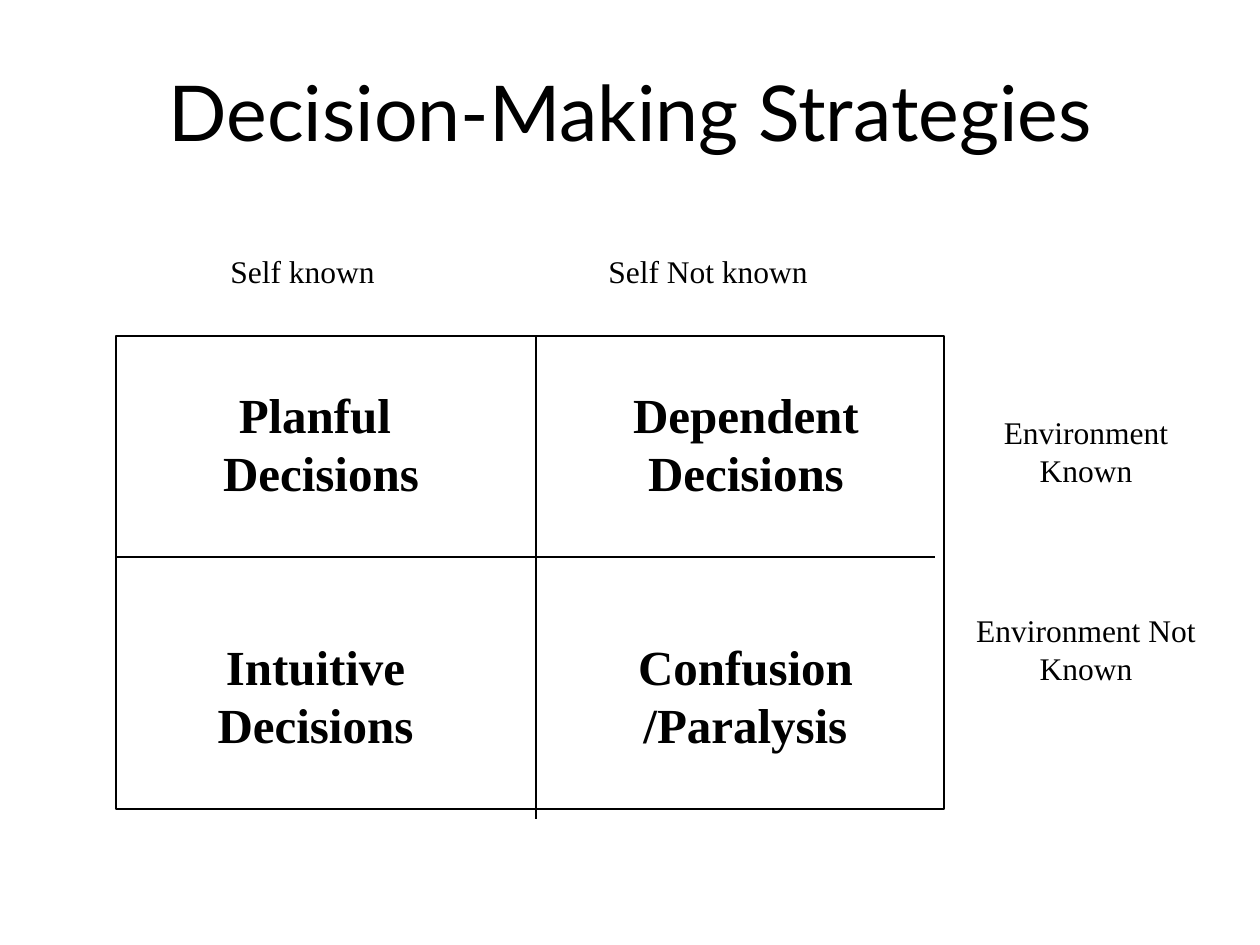
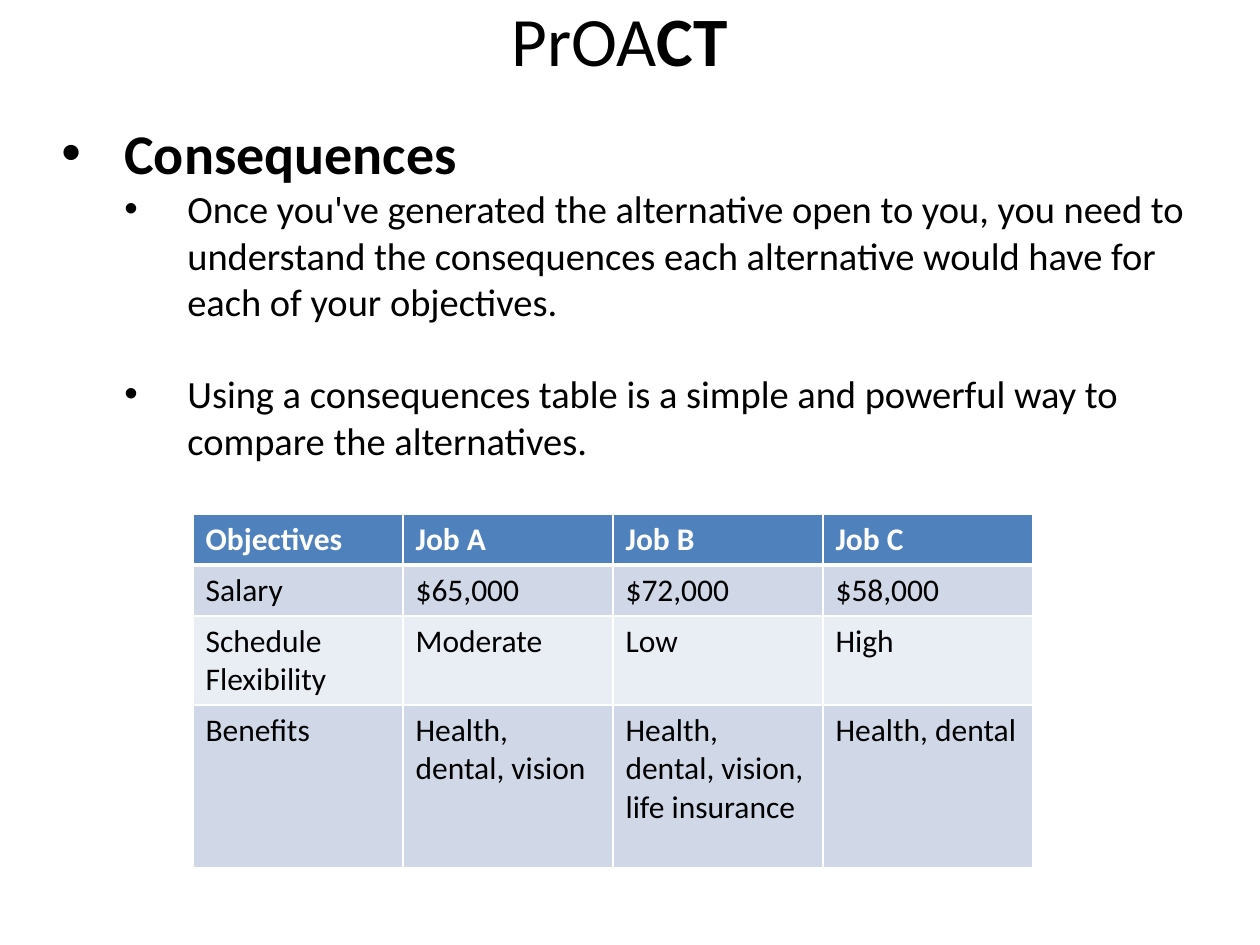
from lxml import etree
from pptx import Presentation
from pptx.dml.color import RGBColor
from pptx.enum.shapes import MSO_CONNECTOR as CONN, MSO_SHAPE as SHAPE
from pptx.enum.text import MSO_ANCHOR as ANCHOR, MSO_AUTO_SIZE as AUTO, PP_ALIGN as ALIGN
from pptx.oxml.ns import qn
from pptx.util import Emu, Pt

PX_PER_INCH = 126
COLORS = {"ink": "000000", "paper": "FFFFFF", "header": "4F81BD",
          "band_dark": "D0D8E8", "band_light": "E9EDF4"}
SERIF, SANS, DISPLAY = "Times New Roman", "Calibri", "Lato"


def px(n):
    return Emu(round(n * 914400 / PX_PER_INCH))


def rgb(name):
    return RGBColor.from_string(COLORS[name])


def add_run(p, text, size, font, bold=False, color="ink"):
    r = p.add_run()
    r.text = text
    r.font.size, r.font.name, r.font.bold = Pt(size), font, bold
    r.font.color.rgb = rgb(color)


def add_box(s, x, y, w, h):
    tf = s.shapes.add_textbox(px(x), px(y), px(w), px(h)).text_frame
    tf.word_wrap = True
    return tf


def add_paragraphs(tf, texts, size, font, align, bold=False, gap=0):
    """Fill a text frame, with gap points between its paragraphs."""
    for i, text in enumerate(texts):
        p = tf.add_paragraph() if i else tf.paragraphs[0]
        p.alignment = align
        if i:
            p.space_before = Pt(gap)
        add_run(p, text, size, font, bold)


def add_titled_slide(prs, box, runs, size, font):
    """Add a title-only slide; runs are (text, bold) pairs."""
    s = prs.slides.add_slide(prs.slide_layouts[5])
    title = s.shapes.title
    title.left, title.top, title.width, title.height = map(px, box)
    tf = title.text_frame
    tf.auto_size, tf.vertical_anchor = AUTO.NONE, ANCHOR.MIDDLE
    p = tf.paragraphs[0]
    p.alignment = ALIGN.CENTER
    for text, bold in runs:
        add_run(p, text, size, font, bold)
    return s


def add_rule(s, x1, y1, x2, y2):
    line = s.shapes.add_connector(CONN.STRAIGHT, px(x1), px(y1), px(x2), px(y2))
    line.line.color.rgb, line.line.width = rgb("ink"), Pt(1)
    etree.SubElement(line._element.spPr, qn("a:effectLst"))


def add_matrix(s, x, y, w, h):
    """Draw the frame, its two dividers and the four strategies."""
    frame = s.shapes.add_shape(SHAPE.RECTANGLE, px(x), px(y), px(w), px(h))
    frame.shadow.inherit = False
    frame.fill.background()
    frame.line.color.rgb, frame.line.width = rgb("ink"), Pt(1)
    add_rule(s, x + 420, y, x + 420, y + h + 10)
    add_rule(s, x, y + 221, x + w - 9, y + 221)

    strategies = [(94, 42, 222, ["Planful ", "Decisions"]),
                  (441, 42, 378, ["Dependent Decisions"]),
                  (42, 294, 315, ["Intuitive Decisions"]),
                  (472, 294, 315, ["Confusion /Paralysis"])]
    for dx, dy, width, texts in strategies:
        tf = add_box(s, x + dx, y + dy, width, 130)
        add_paragraphs(tf, texts, 28, SERIF, ALIGN.CENTER, bold=True)


def add_axis_labels(s, x, y, w):
    """Label the columns above, and the rows right of, the matrix at x, y."""
    for dx, text in ((102, "Self known"), (480, "Self Not known")):
        add_paragraphs(add_box(s, x + dx, y - 90, 290, 50), [text], 18, SERIF, ALIGN.LEFT)
    tf = add_box(s, x + w + 11, y + 71, 262, 299)
    add_paragraphs(tf, ["Environment Known", "Environment Not Known"],
                   18, SERIF, ALIGN.CENTER, gap=70)


def build_strategies(prs):
    s = add_titled_slide(prs, (95, 53, 1071, 116),
                         [("Decision-Making Strategies", False)], 44, DISPLAY)
    x, y, w, h = 116, 336, 828, 473
    add_matrix(s, x, y, w, h)
    add_axis_labels(s, x, y, w)


def add_bullet(p, level):
    p.level = level
    pPr = p._p.get_or_add_pPr()
    pPr.set("marL", str(px(63 * (level + 1))))
    pPr.set("indent", str(-px(63)))
    etree.SubElement(pPr, qn("a:buFont"), typeface="Arial")
    etree.SubElement(pPr, qn("a:buChar"), char="•")


def add_consequences(s, x, y, w, h):
    tf = add_box(s, x, y, w, h)
    points = [
        (0, 32, 0, "Consequences"),
        (1, 22, 0, "Once you've generated the alternative open to you, you need to understand "
                   "the consequences each alternative would have for each of your objectives."),
        (1, 22, 26.5, "Using a consequences table is a simple and powerful way to "
                      "compare the alternatives."),
    ]
    for i, (level, size, gap, text) in enumerate(points):
        p = tf.add_paragraph() if i else tf.paragraphs[0]
        add_bullet(p, level)
        if gap:
            p.space_before = Pt(gap)
        add_run(p, text, size, SANS, bold=level == 0)


def set_borders(cell, top, bottom):
    tcPr = cell._tc.get_or_add_tcPr()
    for side, width in (("L", 1), ("R", 1), ("T", top), ("B", bottom)):
        ln = etree.SubElement(tcPr, qn("a:ln" + side), w=str(Pt(width)))
        fill = etree.SubElement(ln, qn("a:solidFill"))
        etree.SubElement(fill, qn("a:srgbClr"), val=COLORS["paper"])


def add_job_table(s, x, y, col_w, row_heights):
    rows = [["Objectives", "Job A", "Job B", "Job C"],
            ["Salary", "$65,000", "$72,000", "$58,000"],
            ["Schedule Flexibility", "Moderate", "Low", "High"],
            ["Benefits", "Health, dental, vision",
             "Health, dental, vision, life insurance", "Health, dental"]]
    fills = ["header", "band_dark", "band_light", "band_dark"]
    n = len(rows[0])
    table = s.shapes.add_table(len(rows), n, px(x), px(y),
                               px(col_w * n), px(sum(row_heights))).table
    for col in table.columns:
        col.width = px(col_w)
    for i, texts in enumerate(rows):
        table.rows[i].height = px(row_heights[i])
        head = i == 0
        for j, text in enumerate(texts):
            cell = table.cell(i, j)
            set_borders(cell, top=3 if i == 1 else 1, bottom=3 if head else 1)
            cell.fill.solid()
            cell.fill.fore_color.rgb = rgb(fills[i])
            add_run(cell.text_frame.paragraphs[0], text, 18, SANS,
                    bold=head, color="paper" if head else "ink")


def build_consequences(prs):
    s = add_titled_slide(prs, (84, 0, 1071, 77),
                         [("PrOA", False), ("CT", True)], 39.6, SANS)
    add_consequences(s, 49, 112, 1172, 360)
    add_job_table(s, 193, 514, 210, [51, 51, 89, 163])


def main():
    prs = Presentation()
    prs.slide_width, prs.slide_height = px(1260), px(945)
    build_strategies(prs)
    build_consequences(prs)
    prs.save("out.pptx")


if __name__ == "__main__":
    main()
